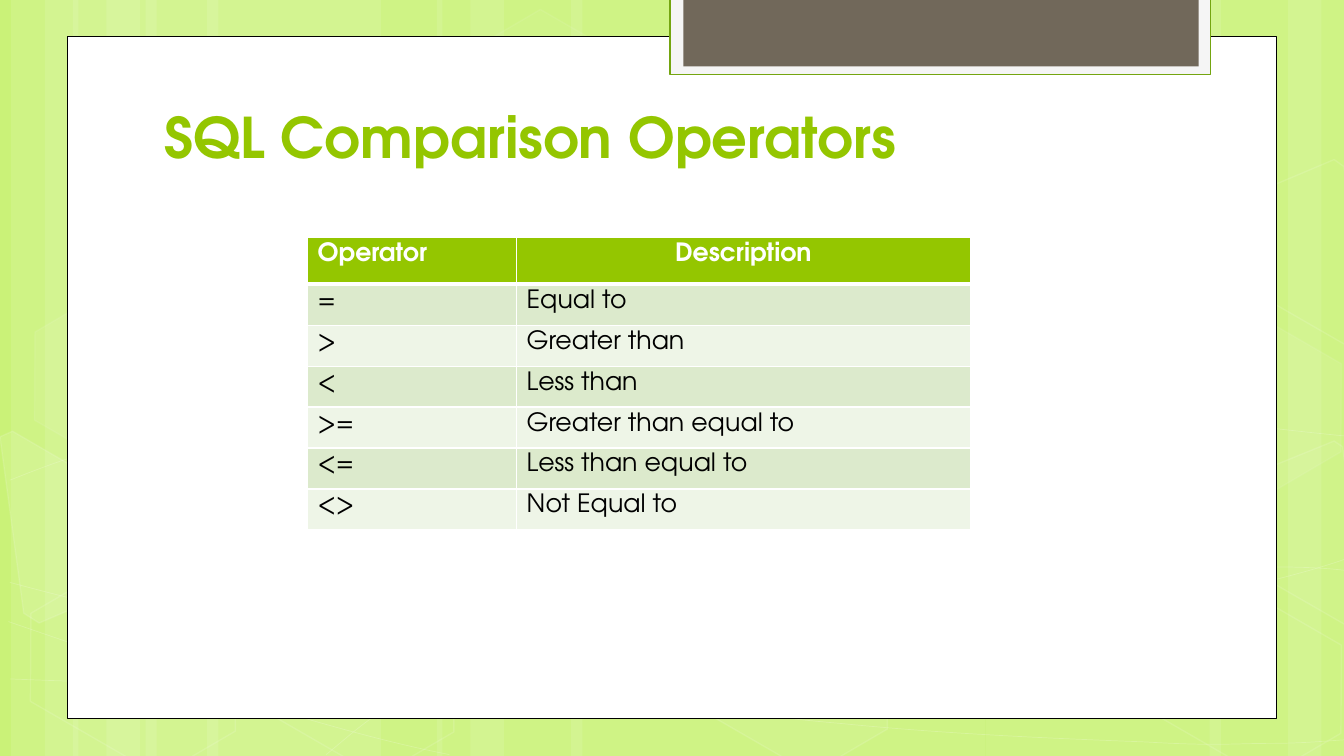
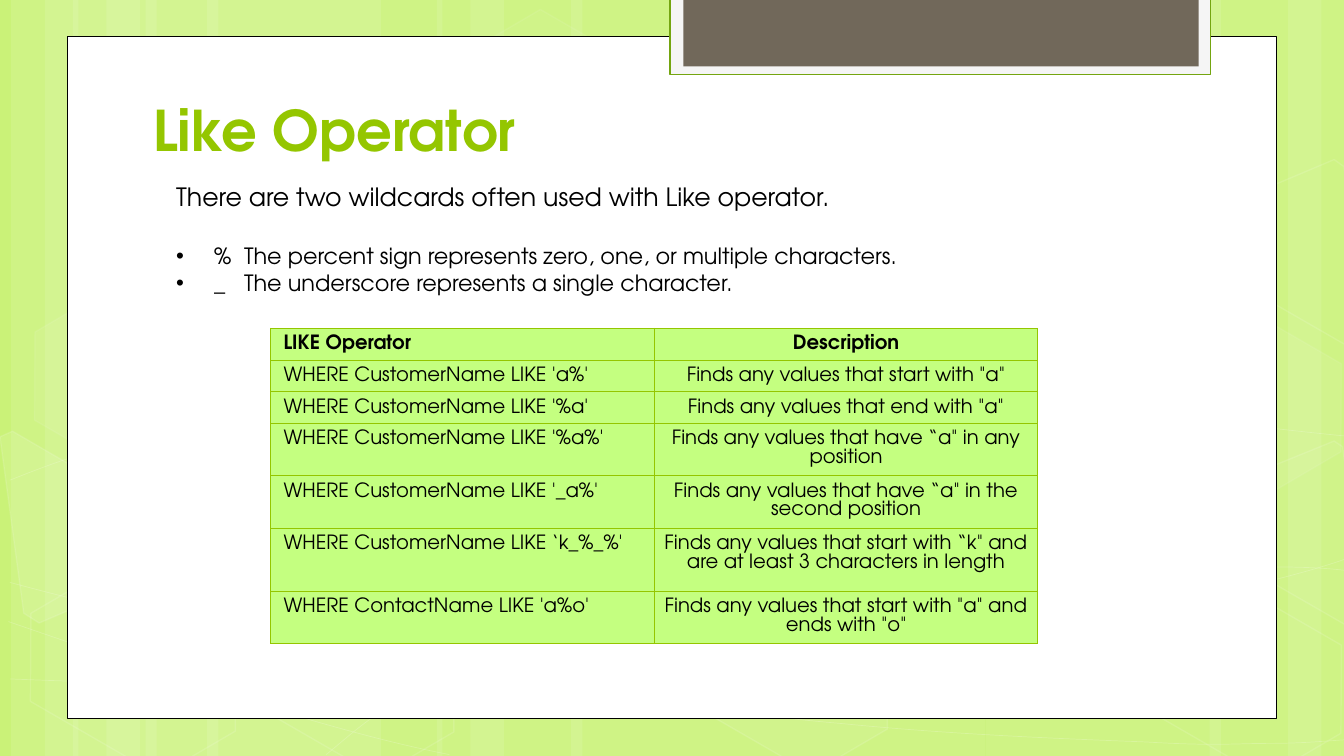
from lxml import etree
from pptx import Presentation
from pptx.dml.color import RGBColor
from pptx.enum.shapes import MSO_SHAPE
from pptx.enum.text import MSO_ANCHOR, PP_ALIGN
from pptx.oxml.ns import qn
from pptx.util import Pt

RECTANGLE = MSO_SHAPE.RECTANGLE
HEXAGON = MSO_SHAPE.HEXAGON
BOTTOM = MSO_ANCHOR.BOTTOM
TOP = MSO_ANCHOR.TOP
LEFT = PP_ALIGN.LEFT
CENTER = PP_ALIGN.CENTER

WIDTH, HEIGHT = 960, 540
FONT = "TeX Gyre Adventor"
LIME = "94C600"
BACKGROUND = "CAF278"
WHITE = "FFFFFF"
BLACK = "000000"
OFF_WHITE = "F5F5F5"
TAB_LINE = "74A510"
TAB_FILL = "71685A"
BAND_DARK = "DCEACC"
BAND_LIGHT = "EEF5E7"
PALE_LIME = "C4FF80"

STRIPE_TRIOS = [(8, 168, False), (52, 168, False), (968, 168, True), (312, 296, False)]

CURVES = [
    [(7, 485), (59, 487), (111, 489), (183, 488), (255, 487), (343, 486), (439, 479),
     (536, 472), (672, 458), (760, 444), (848, 431), (938, 409), (967, 397)],
    [(7, 343), (35, 332), (62, 321), (117, 310), (171, 300), (248, 284), (333, 279),
     (419, 274), (522, 273), (628, 279), (734, 284), (909, 307), (967, 312)],
    [(6, 444), (122, 484), (238, 523), (321, 539)],
    [(7, 416), (37, 424), (67, 432), (123, 444), (179, 454), (262, 472), (342, 485),
     (422, 497), (523, 510), (603, 517), (683, 525), (768, 528), (819, 530),
     (869, 533), (882, 531), (907, 531), (932, 531), (950, 529), (967, 528)],
    [(233, 539), (250, 525), (266, 510), (290, 498), (313, 485), (346, 470), (372, 460),
     (399, 450), (415, 446), (451, 438), (486, 431), (551, 421), (584, 416),
     (618, 411), (623, 411), (653, 410), (682, 408), (729, 405), (762, 405),
     (796, 404), (851, 405), (851, 405), (872, 405), (893, 405), (914, 405),
     (932, 405), (948, 406), (957, 407), (966, 408), (963, 407), (966, 408)],
]

HEXAGONS = [
    (320.4, 26, 4, 8), (476.6, 424, 6, 12), (10.8, 425.5, 0, 12), (13.7, 224.6, 7, 8),
    (167, 426, 0, 12), (800.6, 427, 0, 12), (800.6, 226, 7, 8),
]

CUT_HEXAGONS = [
    ([(0, 312.5), (9.4, 308), (82.8, 350.6), (91.4, 418.3), (28, 445), (17.3, 438.5)], 10),
    ([(889, 341.3), (952.6, 314.6), (959, 319), (977, 450), (971.3, 452), (897.8, 409.7)], 4),
    ([(889, 141), (952.6, 114.5), (960.5, 118.8), (977, 249), (971.3, 252), (897.8, 209.5)], 0),
]

OPERATORS = [
    ("Operator", "Description"),
    ("=", "Equal to"),
    (">", "Greater than"),
    ("<", "Less than"),
    (">=", "Greater than equal to"),
    ("<=", "Less than equal to"),
    ("<>", "Not Equal to"),
]

LIKE_PATTERNS = [
    ("LIKE Operator", "Description"),
    ("WHERE CustomerName LIKE 'a%'", 'Finds any values that start with "a"'),
    ("WHERE CustomerName LIKE '%a'", 'Finds any values that end with "a"'),
    ("WHERE CustomerName LIKE '%a%'", 'Finds any values that have “a" in any position'),
    ("WHERE CustomerName LIKE '_a%'", 'Finds any values that have “a" in the second position'),
    ("WHERE CustomerName LIKE ‘k_%_%'",
     'Finds any values that start with “k" and are at least 3 characters in length'),
    ("WHERE ContactName LIKE 'a%o'", 'Finds any values that start with "a" and ends with "o"'),
]

WILDCARDS = [
    "%\tThe percent sign represents zero, one, or multiple characters.",
    "_\tThe underscore represents a single character.",
]


def rgb(code):
    return RGBColor.from_string(code)


def add_node(parent, tag, **attributes):
    node = etree.SubElement(parent, qn(tag))
    for name, value in attributes.items():
        node.set(name, str(value))
    return node


def set_alpha(holder, percent):
    if percent < 100:
        color = holder.find(qn("a:solidFill"))[0]
        add_node(color, "a:alpha", val=percent * 1000)


def paint(shape, fill=None, fill_alpha=100, line=None, line_width=1, line_alpha=100):
    shape.shadow.inherit = False
    properties = shape.element.spPr
    if fill and fill_alpha:
        shape.fill.solid()
        shape.fill.fore_color.rgb = rgb(fill)
        set_alpha(properties, fill_alpha)
    else:
        shape.fill.background()
    if line:
        shape.line.color.rgb = rgb(line)
        shape.line.width = Pt(line_width)
        set_alpha(properties.find(qn("a:ln")), line_alpha)
    else:
        shape.line.fill.background()


def add_block(page, kind, left, top, width, height, **look):
    block = page.shapes.add_shape(kind, Pt(left), Pt(top), Pt(width), Pt(height))
    paint(block, **look)
    return block


def add_outline(page, points, closed, **look):
    builder = page.shapes.build_freeform(*points[0], scale=Pt(1))
    builder.add_line_segments(points[1:], close=closed)
    outline = builder.convert_to_shape()
    paint(outline, **look)
    return outline


def add_curve(page, controls, **look):
    curve = add_outline(page, controls, False, **look)
    segments = list(curve.element.iter(qn("a:lnTo")))
    for start in range(0, len(segments), 3):
        bend = etree.Element(qn("a:cubicBezTo"))
        segments[start].addprevious(bend)
        for segment in segments[start:start + 3]:
            bend.append(segment[0])
            segment.getparent().remove(segment)


def write(para, text, size=18, color=BLACK, bold=False, align=LEFT, spacing=1, before=0):
    para.alignment = align
    para.line_spacing = spacing
    para.space_before = Pt(before)
    span = para.add_run()
    span.text = text
    span.font.name = FONT
    span.font.size = Pt(size)
    span.font.bold = bold
    span.font.color.rgb = rgb(color)


def add_bullet(para, indent, tab):
    properties = para._p.get_or_add_pPr()
    properties.set("marL", str(Pt(indent)))
    properties.set("indent", str(-Pt(indent)))
    add_node(properties, "a:buFont", typeface="Arial")
    add_node(properties, "a:buChar", char="•")
    tabs = add_node(properties, "a:tabLst")
    add_node(tabs, "a:tab", pos=Pt(tab), algn="l")


def add_text_box(page, left, top, width, height, anchor=TOP):
    box = page.shapes.add_textbox(Pt(left), Pt(top), Pt(width), Pt(height))
    frame = box.text_frame
    frame.word_wrap = True
    frame.vertical_anchor = anchor
    return frame


def add_title(page, text, left, top):
    frame = add_text_box(page, left, top, 737, 61, anchor=BOTTOM)
    write(frame.paragraphs[0], text, size=40, color=LIME, bold=True)


def set_borders(cell, color, width, **special):
    properties = cell._tc.get_or_add_tcPr()
    for side in "LRTB":
        line = add_node(properties, f"a:ln{side}", w=Pt(special.get(side, width)))
        add_node(add_node(line, "a:solidFill"), "a:srgbClr", val=color)


def add_table(page, rows, left, top, widths, heights, size, line_height, border, border_width,
              header_fill, header_color, bands, header_rule, aligns, margins=None):
    table = page.shapes.add_table(
        len(rows), len(widths), Pt(left), Pt(top), Pt(sum(widths)), Pt(sum(heights))).table
    for column, width in zip(table.columns, widths):
        column.width = Pt(width)
    for index, (texts, height) in enumerate(zip(rows, heights)):
        header = index == 0
        table.rows[index].height = Pt(height)
        rule = {0: {"B": header_rule}, 1: {"T": header_rule}}.get(index, {})
        for place, text in enumerate(texts):
            cell = table.cell(index, place)
            set_borders(cell, border, border_width, **rule)
            cell.fill.solid()
            cell.fill.fore_color.rgb = rgb(header_fill if header else bands[(index - 1) % 2])
            if margins:
                cell.margin_left = Pt(margins[place])
                cell.margin_right = cell.margin_top = cell.margin_bottom = Pt(margins[-1])
            write(cell.text_frame.paragraphs[0], text, size=size, bold=header,
                  color=header_color if header else BLACK,
                  align=CENTER if header and place else aligns[place],
                  spacing=Pt(line_height))


def draw_backdrop(page):
    for base, wide, mirrored in STRIPE_TRIOS:
        for offset, width in ((96, wide), (0, 48), (24, 80)):
            left = base - offset - width if mirrored else base + offset
            add_block(page, RECTANGLE, left, 0, width, HEIGHT, fill=WHITE, fill_alpha=10)
    for controls in CURVES:
        add_curve(page, controls, line=WHITE, line_width=0.5, line_alpha=20)
    for left, top, fill_alpha, line_alpha in HEXAGONS:
        hexagon = add_block(page, HEXAGON, left, top, 168.5, 109.4, fill=WHITE,
                            fill_alpha=fill_alpha, line=WHITE, line_alpha=line_alpha)
        hexagon.adjustments[0] = 0.285
        hexagon.rotation = 30
    for points, fill_alpha in CUT_HEXAGONS:
        add_outline(page, points, True, fill=WHITE, fill_alpha=fill_alpha,
                    line=WHITE, line_alpha=12)
    add_block(page, RECTANGLE, 48, 26, 864, 487, fill=WHITE, line=BLACK, line_width=0.5)
    add_block(page, RECTANGLE, 478.6, -1.5, 386.2, 54.7, fill=OFF_WHITE,
              line=TAB_LINE, line_width=1.25)
    add_block(page, RECTANGLE, 488.2, -1.5, 368, 49, fill=TAB_FILL)


def move_to_master(page, master):
    master.background.fill.solid()
    master.background.fill.fore_color.rgb = rgb(BACKGROUND)
    for number, shape in enumerate(list(page.shapes), start=100):
        shape.element.nvSpPr.cNvPr.set("id", str(number))
        master.shapes.element.append(shape.element)


def add_comparison_content(page):
    add_title(page, "SQL Comparison Operators", 110.4, 63.5)
    add_table(page, OPERATORS, 219.6, 169.7, (149.4, 324), [33.4] + [29.25] * 6, size=18,
              line_height=17, border=WHITE, border_width=1, header_fill=LIME,
              header_color=WHITE, bands=(BAND_DARK, BAND_LIGHT), header_rule=3,
              aligns=(LEFT, LEFT))


def add_like_content(page):
    add_title(page, "Like Operator", 102.5, 59)
    add_table(page, LIKE_PATTERNS, 193.2, 234.6, (274.2, 274),
              [22.6] * 3 + [37.5, 37.5, 45, 37.5], size=14, line_height=13.2, border=LIME,
              border_width=0.75, header_fill=PALE_LIME, header_color=BLACK,
              bands=(PALE_LIME, PALE_LIME), header_rule=0.75, aligns=(LEFT, CENTER),
              margins=(9.4, 4.7))
    frame = add_text_box(page, 118.8, 126, 622, 90)
    write(frame.paragraphs[0], "There are two wildcards often used with Like operator.")
    for text, before in zip(WILDCARDS, (22, 0)):
        para = frame.add_paragraph()
        write(para, text, size=16, before=before)
        add_bullet(para, indent=27, tab=48.5)


def main():
    deck = Presentation()
    deck.slide_width, deck.slide_height = Pt(WIDTH), Pt(HEIGHT)
    blank = deck.slide_layouts[6]
    comparison, like = (deck.slides.add_slide(blank) for _ in range(2))
    draw_backdrop(comparison)
    move_to_master(comparison, deck.slide_master)
    add_comparison_content(comparison)
    add_like_content(like)
    deck.save("out.pptx")


if __name__ == "__main__":
    main()
